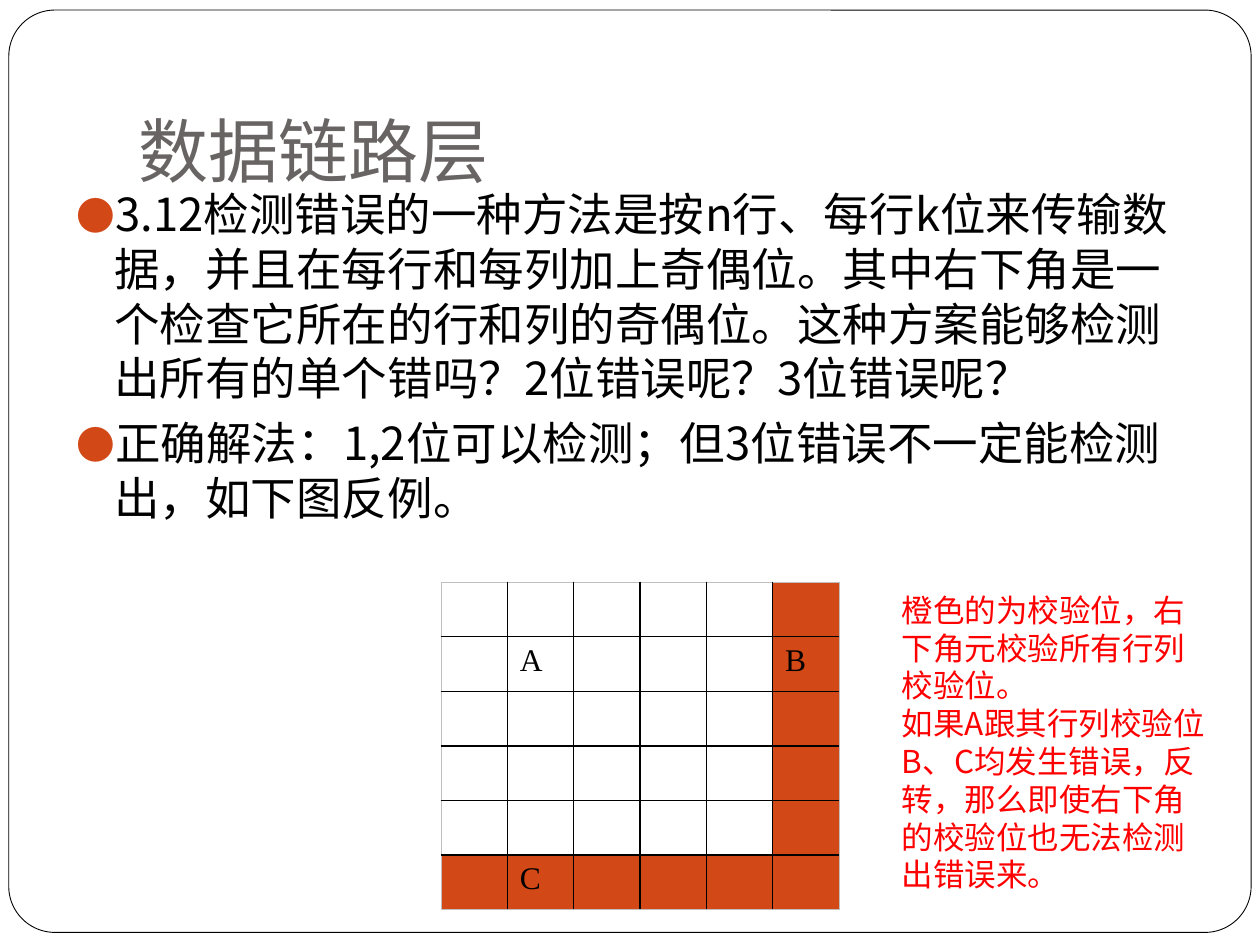
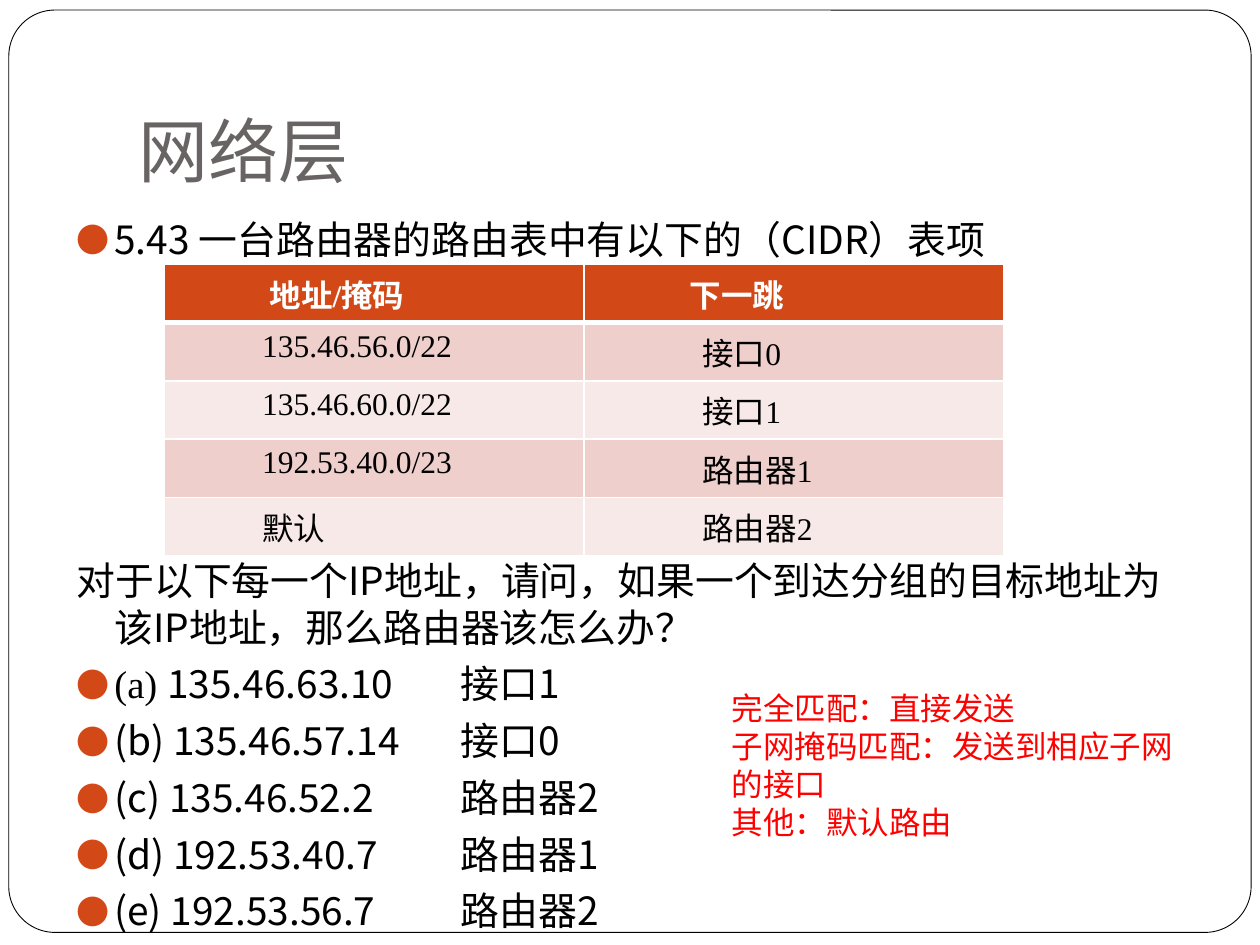
"""Build two slides of network exercises: parity grid and CIDR routing table."""
from lxml import etree
from pptx import Presentation
from pptx.dml.color import RGBColor
from pptx.enum.shapes import MSO_SHAPE
from pptx.enum.text import MSO_ANCHOR, MSO_AUTO_SIZE, PP_ALIGN
from pptx.oxml.ns import qn
from pptx.util import Inches, Pt

ROUNDED = MSO_SHAPE.ROUNDED_RECTANGLE
BOTTOM, LEFT, NO_FIT = MSO_ANCHOR.BOTTOM, PP_ALIGN.LEFT, MSO_AUTO_SIZE.NONE
ORANGE, GREY, BLACK, WHITE, RED = "D34817", "696464", "000000", "FFFFFF", "FF0000"
PINK, PALE, EDGE = "EFCFCC", "F7E9E8", "BFBFBF"
SANS, SERIF, TITLE_LATIN = "Noto Sans CJK SC", "Times New Roman", "Lato"
color = RGBColor.from_string


def write_text(frame, lines, size, ink, font=SANS, bold=False, spacing=None, before=0):
    """Fill a text frame with lines, each a list of (text, font) spans or a string."""
    frame.word_wrap = True
    for index, line in enumerate(lines):
        para = frame.paragraphs[0] if index == 0 else frame.add_paragraph()
        formats = {"alignment": LEFT, "space_before": Pt(before), "line_spacing": spacing}
        for name, value in formats.items():
            setattr(para, name, value)
        for text, face in [(line, font)] if isinstance(line, str) else line:
            span = para.add_run()
            span.text = text
            for name, value in {"name": face, "size": Pt(size), "bold": bold}.items():
                setattr(span.font, name, value)
            span.font.color.rgb = color(ink)
            east_asian = etree.SubElement(span.font._element, qn("a:ea"))
            east_asian.set("typeface", SANS)


def add_border(cell, side, ink, width):
    """Draw one side (L, R, T or B) of a cell."""
    line = etree.SubElement(cell._tc.get_or_add_tcPr(), qn(f"a:ln{side}"), w=str(Pt(width)))
    fill = etree.SubElement(line, qn("a:solidFill"))
    etree.SubElement(fill, qn("a:srgbClr"), val=ink)


deck = Presentation()
deck.slide_width, deck.slide_height = Inches(10), Inches(7.5)

pages = []
for heading, heading_font in (("数据链路层", TITLE_LATIN), ("网络层", SANS)):
    page = deck.slides.add_slide(deck.slide_layouts[5])
    pages.append(page)
    border = page.shapes.add_shape(ROUNDED, Inches(0.07), Inches(0.08), Inches(9.86), Inches(7.32))
    border.adjustments[0] = 0.05
    border.shadow.inherit = False
    border.fill.solid()
    border.fill.fore_color.rgb = color(WHITE)
    border.line.color.rgb = color(BLACK)
    border.line.width = Pt(0.5)
    page.shapes.element.insert(2, border._element)

    title = page.shapes.title
    place = {"left": 1, "top": 0.3, "width": 8.5, "height": 1.25}
    for name, value in place.items():
        setattr(title, name, Inches(value))
    layout = {"vertical_anchor": BOTTOM, "auto_size": NO_FIT, "margin_bottom": Inches(0.03)}
    for name, value in layout.items():
        setattr(title.text_frame, name, value)
    write_text(title.text_frame, [heading], 40, GREY, heading_font)

parity_page, routing_page = pages

parity_lines = [
    "3.12检测错误的一种方法是按n行、每行k位来传输数据，并且在每行和每列加上奇偶位。"
    "其中右下角是一个检查它所在的行和列的奇偶位。这种方案能够检测出所有的单个错吗？"
    "2位错误呢？3位错误呢？",
    "正确解法：1,2位可以检测；但3位错误不一定能检测出，如下图反例。",
]
routing_question = ["5.43 一台路由器的路由表中有以下的（CIDR）表项"]
routing_answers = [
    "对于以下每一个IP地址，请问，如果一个到达分组的目标地址为该IP地址，那么路由器该怎么办？",
    [("(a) ", SERIF), ("135.46.63.10\t接口1", SANS)],
    "(b) 135.46.57.14\t接口0",
    "(c) 135.46.52.2\t路由器2",
    "(d) 192.53.40.7\t路由器1",
    "(e) 192.53.56.7\t路由器2",
]
bodies = [
    (parity_page, 1.43, 2.8, parity_lines, 26, 0),
    (routing_page, 1.66, 0.45, routing_question, 22.2, 0),
    (routing_page, 4.37, 3.05, routing_answers, 22.2, 1),
]
for page, top, height, lines, size, first_bullet in bodies:
    box = page.shapes.add_textbox(Inches(0.51), Inches(top), Inches(9), Inches(height))
    write_text(box.text_frame, lines, size, BLACK, spacing=Pt(size * 1.2), before=5.8)
    for index, para in enumerate(box.text_frame.paragraphs):
        props = para._p.get_or_add_pPr()
        props.set("marL", str(Inches(0.3)))
        props.set("indent", str(-Inches(0.3)))
        if index >= first_bullet:
            bullet_color = etree.SubElement(props, qn("a:buClr"))
            etree.SubElement(bullet_color, qn("a:srgbClr"), val=ORANGE)
            etree.SubElement(props, qn("a:buSzPct"), val="85000")
            etree.SubElement(props, qn("a:buFont"), typeface=SANS)
            etree.SubElement(props, qn("a:buChar"), char="●")
        if "\t" in para.text:
            tabs = etree.SubElement(props, qn("a:tabLst"))
            etree.SubElement(tabs, qn("a:tab"), pos=str(Inches(3.05)), algn="l")

GRID = 6
grid_frame = parity_page.shapes.add_table(
    GRID, GRID, Inches(3.5), Inches(4.62), Inches(3.16), Inches(2.6))
grid = grid_frame.table
grid.first_row = grid.horz_banding = False
marks = {(1, 1): "A", (1, 5): "B", (5, 1): "C"}
for row in range(GRID):
    for column in range(GRID):
        cell = grid.cell(row, column)
        outer = {"L": column == 0, "R": column == GRID - 1, "T": row == 0, "B": row == GRID - 1}
        for side, is_outer in outer.items():
            add_border(cell, side, EDGE if is_outer else BLACK, 0.5 if is_outer else 1)
        cell.fill.solid()
        cell.fill.fore_color.rgb = color(ORANGE if GRID - 1 in (row, column) else WHITE)
        if (row, column) in marks:
            write_text(cell.text_frame, [marks[row, column]], 18, BLACK, SERIF)

routes = [
    ("地址/掩码", "下一跳"),
    ("135.46.56.0/22", "接口0"),
    ("135.46.60.0/22", "接口1"),
    ("192.53.40.0/23", "路由器1"),
    ("默认", "路由器2"),
]
route_frame = routing_page.shapes.add_table(
    len(routes), 2, Inches(1.3), Inches(2.1), Inches(6.67), Inches(2.31))
route_table = route_frame.table
route_table.first_row = route_table.horz_banding = False
for row, route in enumerate(routes):
    is_header = row == 0
    for column, text in enumerate(route):
        cell = route_table.cell(row, column)
        cell.margin_left = Inches(0.84 if is_header else (0.78, 0.94)[column])
        for side, width in {"L": 1, "R": 1, "T": 3 if row == 1 else 1, "B": 3 if is_header else 1}.items():
            add_border(cell, side, WHITE, width)
        cell.fill.solid()
        cell.fill.fore_color.rgb = color(ORANGE if is_header else (PALE, PINK)[row % 2])
        write_text(cell.text_frame, [text], 18, WHITE if is_header else BLACK, SERIF, bold=is_header)

parity_note = [
    "橙色的为校验位，右下角元校验所有行列校验位。",
    "如果A跟其行列校验位B、C均发生错误，反转，那么即使右下角的校验位也无法检测出错误来。",
]
routing_note = ["完全匹配：直接发送", "子网掩码匹配：发送到相应子网的接口", "其他：默认路由"]
notes = [
    (parity_page, (7.06, 4.64, 2.6, 2.52), parity_note),
    (routing_page, (5.71, 5.42, 3.78, 1.31), routing_note),
]
for page, place, lines in notes:
    box = page.shapes.add_textbox(*map(Inches, place))
    write_text(box.text_frame, lines, 18, RED, spacing=Pt(21.6))

deck.save("out.pptx")
